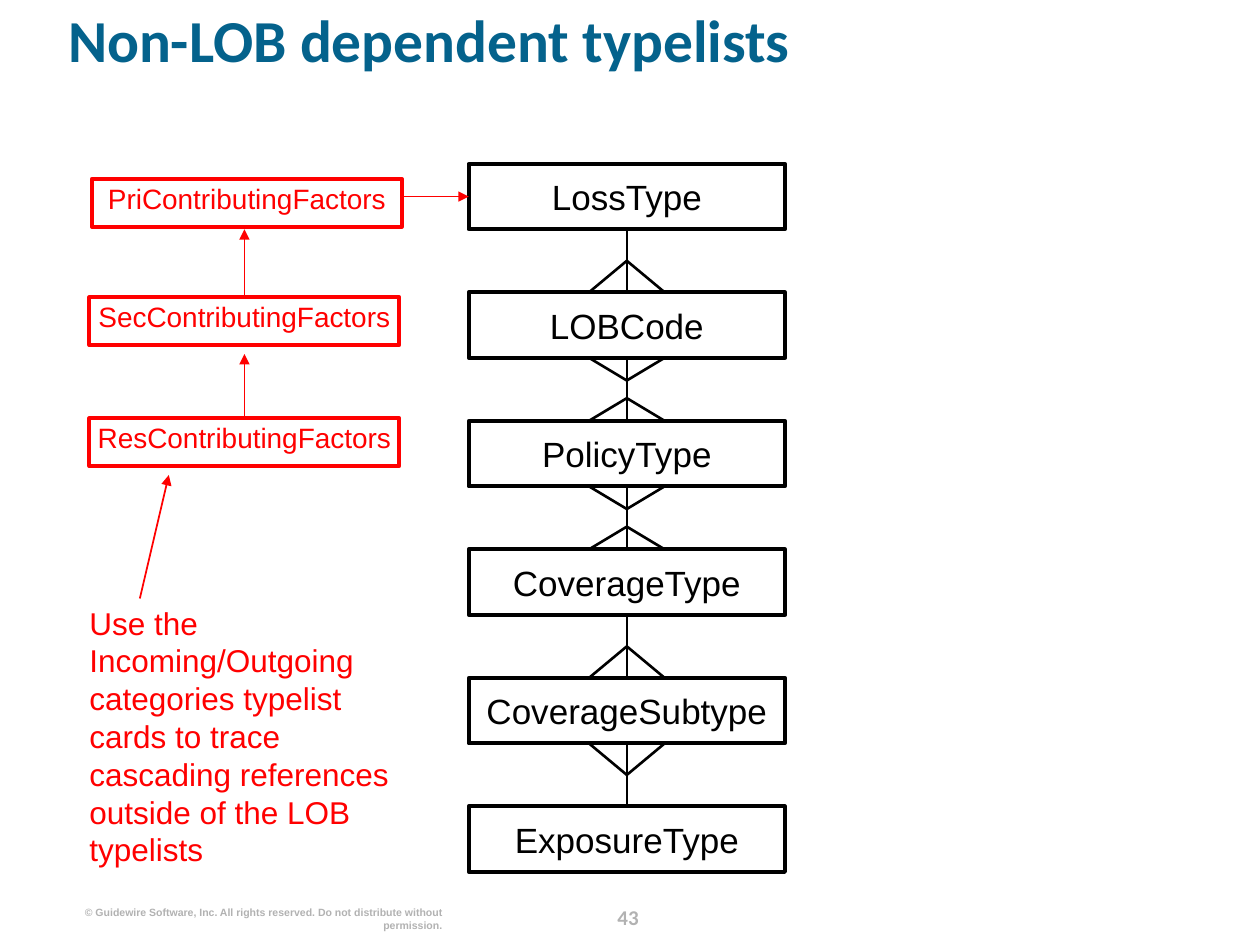
from dataclasses import dataclass

from lxml import etree
from pptx import Presentation
from pptx import util as u
from pptx.dml.color import RGBColor
from pptx.enum import shapes, text
from pptx.oxml.ns import qn

Inches = u.Inches


@dataclass(frozen=True)
class Theme:
    black: str = "000000"
    white: str = "FFFFFF"
    red: str = "FF0000"
    blue: str = "04628C"
    grey: str = "B2B2B2"
    title: int = 34
    box: int = 20
    note: int = 18
    factor: int = 16
    number: int = 12
    footer: int = 6


T = Theme()

prs = Presentation()
prs.slide_width, prs.slide_height = Inches(10), Inches(7.5)
s = prs.slides.add_slide(prs.slide_layouts[6])


def add_text(words, x, y, w, h, size, color, font="Arial", bold=False,
             align=text.PP_ALIGN.LEFT, anchor=text.MSO_ANCHOR.TOP,
             spacing=None, border=None, top=0):
    at = Inches(x), Inches(y), Inches(w), Inches(h)
    if border:
        sp = s.shapes.add_shape(shapes.MSO_SHAPE.RECTANGLE, *at)
        sp.shadow.inherit = False
        sp.fill.solid()
        sp.fill.fore_color.rgb = RGBColor.from_string(T.white)
        sp.line.color.rgb = RGBColor.from_string(border)
        sp.line.width = u.Pt(2.25)
    else:
        sp = s.shapes.add_textbox(*at)
    tf = sp.text_frame
    tf.word_wrap = True
    tf.vertical_anchor = anchor
    tf.margin_left = tf.margin_right = tf.margin_bottom = 0
    tf.margin_top = Inches(top)
    p = tf.paragraphs[0]
    p.alignment = align
    if spacing:
        p.line_spacing = spacing
    r = p.add_run()
    r.text = words
    r.font.name, r.font.size, r.font.bold = font, u.Pt(size), bold
    r.font.color.rgb = RGBColor.from_string(color)
    return sp


def add_line(x1, y1, x2, y2, color=T.black, width=1.5, arrow=False):
    c = s.shapes.add_connector(shapes.MSO_CONNECTOR.STRAIGHT,
                               Inches(x1), Inches(y1), Inches(x2), Inches(y2))
    c.line.color.rgb = RGBColor.from_string(color)
    c.line.width = u.Pt(width)
    if arrow:
        etree.SubElement(c.line._get_or_add_ln(), qn("a:tailEnd"), type="triangle")
    etree.SubElement(c._element.spPr, qn("a:effectLst"))
    return c


add_text("Non-LOB dependent typelists", 0.54, 0.13, 9.1, 0.81, T.title, T.blue,
         font="Calibri", bold=True, spacing=0.8)

left, top, width, height, pitch = 3.72, 1.3, 2.51, 0.52, 1.02
middle = left + width / 2
names = ["LossType", "LOBCode", "PolicyType",
         "CoverageType", "CoverageSubtype", "ExposureType"]
boxes = [add_text(name, left, top + i * pitch, width, height, T.box, T.black,
                  align=text.PP_ALIGN.CENTER, anchor=text.MSO_ANCHOR.MIDDLE,
                  border=T.black)
         for i, name in enumerate(names)]

feet = [(0, 0.25), (0.18, 0.18), (0.18, 0.18), (0, 0.25), (0.25, 0)]
for i, (upper, lower) in enumerate(feet):
    y1 = top + i * pitch + height
    y2 = top + (i + 1) * pitch
    stem = add_line(middle, y1, middle, y2)
    stem.begin_connect(boxes[i], 2)
    stem.end_connect(boxes[i + 1], 0)
    for edge, depth in ((y1, upper), (y2, -lower)):
        if depth:
            for spread in (-0.3, 0.3):
                add_line(middle, edge + depth, middle + spread, edge)

factors = [("PriContributingFactors", 0.73, 1.42),
           ("SecContributingFactors", 0.71, 2.36),
           ("ResContributingFactors", 0.71, 3.32)]
pri, sec, res = [add_text(name, x, y, 2.46, 0.38, T.factor, T.red,
                          align=text.PP_ALIGN.CENTER, border=T.red, top=0.02)
                 for name, x, y in factors]

add_line(3.19, 1.56, left, 1.56, T.red, 1, True).end_connect(boxes[0], 1)
add_line(1.94, 2.36, 1.94, 1.82, T.red, 1, True).begin_connect(sec, 0)
add_line(1.94, 3.32, 1.94, 2.81, T.red, 1, True).begin_connect(res, 0)
add_line(1.11, 4.75, 1.34, 3.77, T.red, 1, True)

add_text("Use the Incoming/Outgoing categories typelist cards to trace cascading "
         "references outside of the LOB typelists",
         0.71, 4.79, 2.46, 2.12, T.note, T.red)
add_text("© Guidewire Software, Inc. All rights reserved. Do not distribute without "
         "permission.", 0.61, 7.19, 2.9, 0.2, T.footer, T.grey, bold=True,
         align=text.PP_ALIGN.RIGHT)
add_text("43", 4.7, 7.13, 0.57, 0.25, T.number, T.grey, font="Calibri", bold=True,
         align=text.PP_ALIGN.CENTER, spacing=u.Pt(18))

prs.save("out.pptx")
